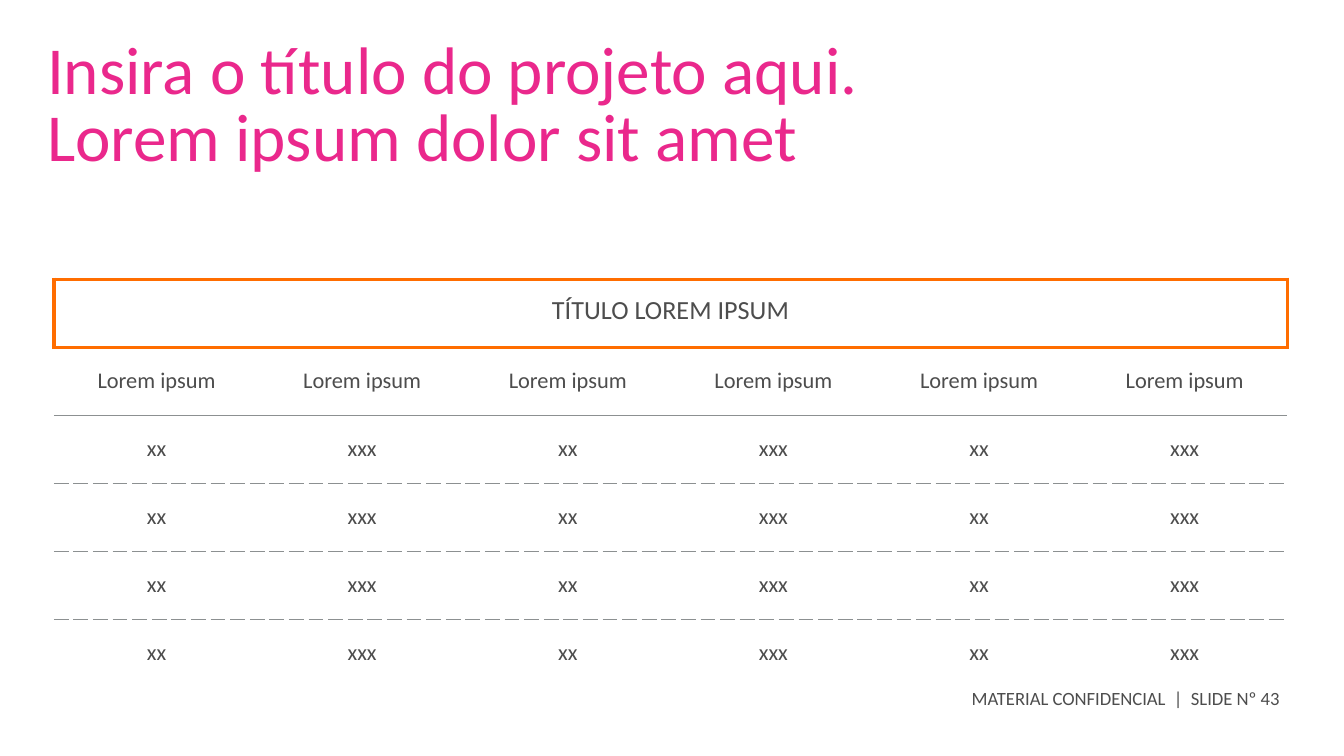
from lxml.etree import SubElement
from pptx import Presentation
from pptx.dml.color import RGBColor
from pptx.enum.text import MSO_ANCHOR, PP_ALIGN
from pptx.oxml.ns import qn
from pptx.util import Inches, Pt

# Content
TITLE = "Insira o título do projeto aqui. Lorem ipsum dolor sit amet"
FOOTER = "MATERIAL CONFIDENCIAL  |  SLIDE Nº 43"
TABLE_TITLE = "TÍTULO LOREM IPSUM"
COLUMN_HEADS = ["Lorem ipsum"] * 6
VALUES = [["xx", "xxx"] * 3] * 4

THEME = {
    "font": "Calibri",
    "title": "EA288C", "text": "4D4D4D", "frame": "FF6D00", "rule": "8C9091",
    "title_size": 36, "table_title_size": 14, "cell_size": 12, "footer_size": 10,
}

# Borders: colour, width in points, dash
FRAME = (THEME["frame"], 2.25, "solid")
SOLID_RULE = (THEME["rule"], 0.5, "solid")
DASHED_RULE = (THEME["rule"], 0.5, "dash")


def write(frame, text, size, color, align=PP_ALIGN.LEFT, spacing=None):
    frame.word_wrap = True
    paragraph = frame.paragraphs[0]
    paragraph.text = text
    paragraph.alignment = align
    if spacing:
        paragraph.line_spacing = Pt(spacing)
    font = paragraph.font
    font.name, font.size = THEME["font"], Pt(size)
    font.color.rgb = RGBColor.from_string(THEME[color])


def clear_margins(frame):
    frame.margin_left = frame.margin_right = 0
    frame.margin_top = frame.margin_bottom = 0
    frame.vertical_anchor = MSO_ANCHOR.TOP


def set_borders(cell, borders):
    properties = cell._tc.get_or_add_tcPr()
    for index, side in enumerate("LRTB"):
        line = SubElement(properties, qn(f"a:ln{side}"))
        properties.insert(index, line)
        if side not in borders:
            line.set("w", "0")
            SubElement(line, qn("a:noFill"))
            continue
        color, width, dash = borders[side]
        line.set("w", str(Pt(width)))
        fill = SubElement(line, qn("a:solidFill"))
        SubElement(fill, qn("a:srgbClr"), val=color)
        SubElement(line, qn("a:prstDash"), val=dash)


def row_borders(row, last_row):
    if row == 0:
        return dict.fromkeys("LRTB", FRAME)
    rules = [FRAME, SOLID_RULE] + [DASHED_RULE] * (last_row - 2)
    borders = {"T": rules[row - 1]}
    if row < last_row:
        borders["B"] = rules[row]
    return borders


presentation = Presentation()
presentation.slide_width, presentation.slide_height = Inches(10), Inches(10) * 9 // 16
slide = presentation.slides.add_slide(presentation.slide_layouts[5])

# Title
title = slide.shapes.title
title.left, title.top = Inches(0.35), Inches(0.3)
title.width, title.height = Inches(6.66), Inches(1.44)
clear_margins(title.text_frame)
write(title.text_frame, TITLE, THEME["title_size"], "title", spacing=36)

# Table
rows = [[TABLE_TITLE] + [""] * (len(COLUMN_HEADS) - 1), COLUMN_HEADS, *VALUES]
table = slide.shapes.add_table(
    len(rows), len(COLUMN_HEADS),
    Inches(0.4), Inches(2.08), Inches(9.18), Inches(3.04)).table
table.first_row = table.horz_banding = False
for row, texts in enumerate(rows):
    size = THEME["cell_size" if row else "table_title_size"]
    for column, text in enumerate(texts):
        cell = table.cell(row, column)
        cell.fill.background()
        cell.vertical_anchor = MSO_ANCHOR.MIDDLE
        set_borders(cell, row_borders(row, len(rows) - 1))
        if text:
            write(cell.text_frame, text, size, "text", PP_ALIGN.CENTER, 14)
table.cell(0, 0).merge(table.cell(0, len(COLUMN_HEADS) - 1))

# Footer
footer = slide.shapes.add_textbox(Inches(7.23), Inches(5.11), Inches(2.33), Inches(0.3))
clear_margins(footer.text_frame)
write(footer.text_frame, FOOTER, THEME["footer_size"], "text")

presentation.save("out.pptx")
